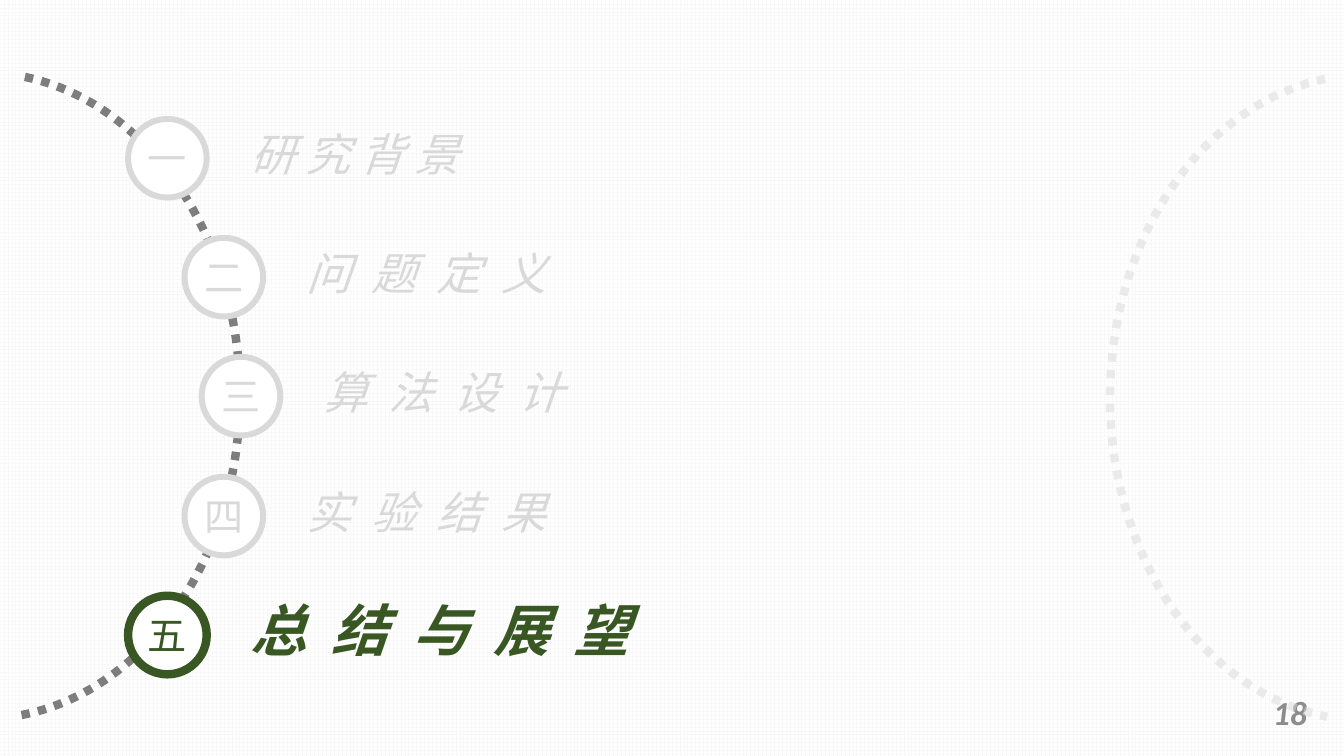
from dataclasses import dataclass

from lxml import etree
from pptx import Presentation
from pptx.dml import color
from pptx.enum import dml, shapes, text
from pptx.oxml import ns
from pptx.util import Inches, Pt


@dataclass(frozen=True)
class Theme:
    paper: str = "FFFFFF"
    grid: str = "F8F8F8"
    muted: str = "D9D9D9"
    active: str = "385723"
    track: str = "000000"
    page: str = "8C8C8C"
    label_font: str = "Noto Sans CJK SC"
    numeral_font: str = "Arial"
    page_font: str = "Calibri"
    label_size: float = 32
    active_size: float = 40
    numeral_size: float = 28
    page_size: float = 24
    ring_line: float = 4.25
    active_line: float = 6
    track_line: float = 6


@dataclass(frozen=True)
class Section:
    numeral: str
    label: str
    left: float
    bar_width: float
    spacing: float  # points between characters
    active: bool = False
    veiled: bool = False


@dataclass(frozen=True)
class Track:
    left: float
    top: float
    end: float
    color: str
    mirrored: bool = False


THEME = Theme()
RING = 0.78
FIRST_TOP = 1.18
STEP = 1.1825
BAR_SHIFT, BAR_DROP, BAR_HEIGHT = 0.49, 0.06, 0.63

SECTIONS = [
    Section("一", "研究背景", 1.27, 10.2, 7.2),
    Section("二", "问题定义", 1.83, 8.91, 14.3, veiled=True),
    Section("三", "算法设计", 2.0, 8.51, 14.3),
    Section("四", "实验结果", 1.83, 8.91, 14.3),
    Section("五", "总结与展望", 1.27, 10.09, 17.9, active=True),
]
LEFT_TRACK = Track(-2.72, 0.72, 50.04, THEME.track)
RIGHT_TRACK = Track(11.01, 0.74, 49.72, THEME.muted, mirrored=True)


def rgb(value: str) -> color.RGBColor:
    return color.RGBColor.from_string(value)


def set_alpha(fill, percent: int) -> None:
    """Make a solid fill partly transparent."""
    srgb = fill._xPr.find(".//" + ns.qn("a:srgbClr"))
    etree.SubElement(srgb, ns.qn("a:alpha")).set("val", str(percent * 1000))


def add_plain(slide, kind, left: float, top: float, width: float, height: float):
    """Add a preset shape without shadow, fill or line."""
    shape = slide.shapes.add_shape(
        kind, Inches(left), Inches(top), Inches(width), Inches(height))
    shape.shadow.inherit = False
    shape.fill.background()
    shape.line.fill.background()
    return shape


def write(shape, words: str, align, insets: tuple[float, ...], ink: str, **font_format):
    frame = shape.text_frame
    frame.word_wrap = True
    frame.vertical_anchor = text.MSO_ANCHOR.MIDDLE
    for side, inset in zip(("left", "top", "right", "bottom"), insets):
        setattr(frame, f"margin_{side}", Inches(inset))
    paragraph = frame.paragraphs[0]
    paragraph.alignment = align
    run = paragraph.add_run()
    run.text = words
    for name, value in font_format.items():
        setattr(run.font, name, value)
    run.font.color.rgb = rgb(ink)
    return run


def draw_track(slide, track: Track) -> None:
    arc = add_plain(slide, shapes.MSO_SHAPE.ARC, track.left, track.top, 5.1, 6.41)
    arc.adjustments[0] = 166.51
    arc.adjustments[1] = track.end
    arc.line.color.rgb = rgb(track.color)
    arc.line.width = Pt(THEME.track_line)
    arc.line.dash_style = dml.MSO_LINE.ROUND_DOT
    set_alpha(arc.line.fill, 50)
    if track.mirrored:
        arc._element.spPr.find(ns.qn("a:xfrm")).set("flipH", "1")


def draw_section(slide, section: Section, top: float) -> None:
    ink = THEME.active if section.active else THEME.muted
    bar = add_plain(slide, shapes.MSO_SHAPE.ROUNDED_RECTANGLE,
                    section.left + BAR_SHIFT, top + BAR_DROP,
                    section.bar_width, BAR_HEIGHT)
    bar.adjustments[0] = 0.5
    if section.veiled:
        bar.fill.solid()
        bar.fill.fore_color.rgb = rgb(THEME.paper)
        set_alpha(bar.fill, 20)
    size = THEME.active_size if section.active else THEME.label_size
    label = write(bar, section.label, text.PP_ALIGN.LEFT, (0.63, 0.09, 0.09, 0.09),
                  ink, name=THEME.label_font, size=Pt(size),
                  bold=section.active, italic=True)
    bar.text_frame.paragraphs[0].line_spacing = 0.9
    properties = label._r.get_or_add_rPr()
    properties.set("spc", str(round(section.spacing * 100)))
    east_asian = etree.SubElement(properties, ns.qn("a:ea"))
    east_asian.set("typeface", THEME.label_font)

    ring = add_plain(slide, shapes.MSO_SHAPE.OVAL, section.left, top, RING, RING)
    ring.fill.solid()
    ring.fill.fore_color.rgb = rgb(THEME.paper)
    ring.line.color.rgb = rgb(ink)
    ring.line.width = Pt(THEME.active_line if section.active else THEME.ring_line)
    write(ring, section.numeral, text.PP_ALIGN.CENTER, (0, 0, 0, 0), ink,
          name=THEME.numeral_font, size=Pt(THEME.numeral_size))


def draw_page_number(slide, number: str) -> None:
    page = slide.shapes.add_textbox(
        Inches(12.42), Inches(6.76), Inches(0.64), Inches(0.6))
    write(page, number, text.PP_ALIGN.RIGHT, (0.1, 0.05, 0.1, 0.05), THEME.page,
          name=THEME.page_font, size=Pt(THEME.page_size), bold=True, italic=True)


def main() -> None:
    deck = Presentation()
    deck.slide_width, deck.slide_height = Inches(13.33), Inches(7.5)
    slide = deck.slides.add_slide(deck.slide_layouts.get_by_name("Blank"))
    backdrop = slide.background.fill
    backdrop.patterned()
    backdrop.pattern = dml.MSO_PATTERN.LARGE_GRID
    backdrop.fore_color.rgb = rgb(THEME.grid)
    backdrop.back_color.rgb = rgb(THEME.paper)

    draw_track(slide, LEFT_TRACK)
    for index, section in enumerate(SECTIONS):
        draw_section(slide, section, round(FIRST_TOP + index * STEP, 2))
    draw_page_number(slide, "18")
    draw_track(slide, RIGHT_TRACK)
    deck.save("out.pptx")


if __name__ == "__main__":
    main()
